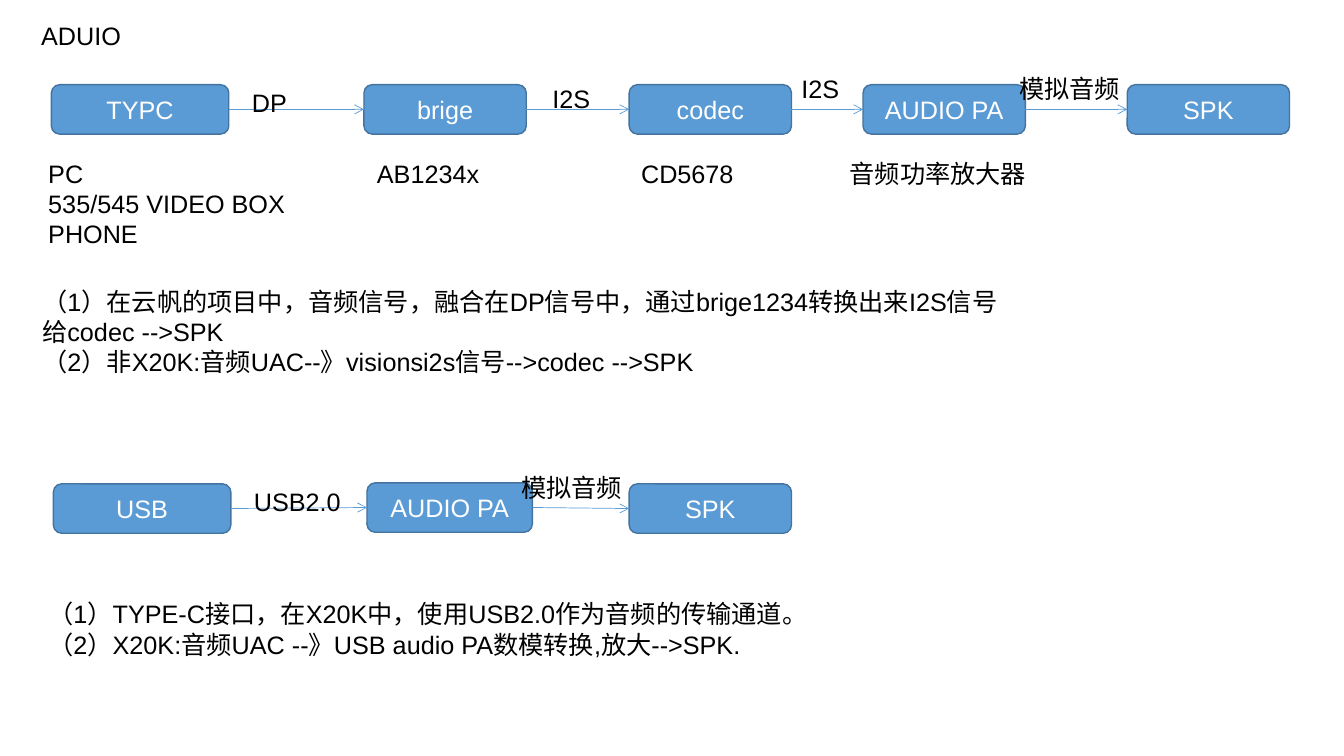
from dataclasses import dataclass

from lxml import etree
from pptx import Presentation
from pptx.dml.color import RGBColor
from pptx.enum.shapes import MSO_CONNECTOR, MSO_SHAPE
from pptx.enum.text import MSO_ANCHOR, PP_ALIGN
from pptx.oxml.ns import qn
from pptx.util import Inches, Pt


@dataclass(frozen=True)
class Theme:
    """Colours, font and sizes of the slide."""
    box_fill: RGBColor = RGBColor(0x5B, 0x9B, 0xD5)
    box_line: RGBColor = RGBColor(0x43, 0x73, 0x9E)
    box_text: RGBColor = RGBColor(0xFF, 0xFF, 0xFF)
    text: RGBColor = RGBColor(0, 0, 0)
    font: str = "Arial"
    size: Pt = Pt(18)
    box_line_width: Pt = Pt(1)
    arrow_width: Pt = Pt(0.5)


class Diagram:
    """Draws flow-chart elements on one slide in one theme."""

    def __init__(self, slide, theme):
        """Keep the slide and the theme."""
        self.shapes = slide.shapes
        self.theme = theme

    def set_lines(self, frame, lines, color, align=PP_ALIGN.LEFT):
        """Fill a text frame with one paragraph per line."""
        frame.word_wrap = True
        for i, line in enumerate(lines):
            paragraph = frame.paragraphs[0] if i == 0 else frame.add_paragraph()
            paragraph.alignment = align
            run = paragraph.add_run()
            run.text = line
            run.font.name = self.theme.font
            run.font.size = self.theme.size
            run.font.color.rgb = color

    def text(self, left, top, width, *lines, height=0.4):
        """Add a plain text box."""
        box = self.shapes.add_textbox(Inches(left), Inches(top), Inches(width), Inches(height))
        self.set_lines(box.text_frame, lines, self.theme.text)

    def box(self, left, top, width, label):
        """Add a rounded box with a centred label."""
        box = self.shapes.add_shape(MSO_SHAPE.ROUNDED_RECTANGLE, Inches(left), Inches(top),
                                    Inches(width), Inches(0.49))
        box.shadow.inherit = False
        box.fill.solid()
        box.fill.fore_color.rgb = self.theme.box_fill
        box.line.color.rgb = self.theme.box_line
        box.line.width = self.theme.box_line_width
        box.text_frame.vertical_anchor = MSO_ANCHOR.MIDDLE
        self.set_lines(box.text_frame, [label], self.theme.box_text, PP_ALIGN.CENTER)
        return box

    def arrow(self, source, target):
        """Join the right side of one box to the left side of the next."""
        arrow = self.shapes.add_connector(MSO_CONNECTOR.STRAIGHT, 0, 0, 0, 0)
        arrow.begin_connect(source, 3)
        arrow.end_connect(target, 1)
        arrow.line.color.rgb = self.theme.box_fill
        arrow.line.width = self.theme.arrow_width
        properties = arrow.element.spPr
        etree.SubElement(properties.find(qn("a:ln")), qn("a:tailEnd"), type="arrow")
        etree.SubElement(properties, qn("a:effectLst"))

    def chain(self, stages):
        """Add a row of boxes joined by arrows."""
        boxes = [self.box(*stage) for stage in stages]
        for source, target in zip(boxes, boxes[1:]):
            self.arrow(source, target)


def build():
    """Lay out the audio path slide."""
    presentation = Presentation()
    presentation.slide_width, presentation.slide_height = Inches(13.33), Inches(7.5)
    slide = presentation.slides.add_slide(presentation.slide_layouts[6])
    diagram = Diagram(slide, Theme())

    diagram.text(0.31, 0.15, 5.18, "ADUIO")

    dp_top, usb_top, note_top = 0.84, 4.8, 1.52
    diagram.chain([
        (0.51, dp_top, 1.76, "TYPC"),
        (3.61, dp_top, 1.61, "brige"),
        (6.24, dp_top, 1.61, "codec"),
        (8.56, dp_top, 1.61, "AUDIO PA"),
        (11.18, dp_top, 1.61, "SPK"),
    ])
    diagram.chain([
        (0.53, usb_top, 1.76, "USB"),
        (3.64, usb_top - 0.01, 1.64, "AUDIO PA"),
        (6.24, usb_top, 1.61, "SPK"),
    ])

    signal_labels = [
        (2.4, 0.82, 0.99, "DP"),
        (5.38, 0.78, 0.71, "I2S"),
        (7.85, 0.68, 0.71, "I2S"),
        (10.01, 0.68, 1.38, "模拟音频"),
        (2.42, 4.78, 1.38, "USB2.0"),
        (5.07, 4.64, 1.38, "模拟音频"),
    ]
    stage_notes = [
        (3.64, note_top, 1.59, "AB1234x"),
        (6.26, note_top, 1.59, "CD5678"),
        (8.33, note_top, 2.07, "音频功率放大器"),
    ]
    for label in signal_labels + stage_notes:
        diagram.text(*label)
    diagram.text(0.38, note_top, 2.99, "PC", "535/545 VIDEO BOX", "PHONE", height=1.31)

    diagram.text(
        0.32, 2.79, 9.85,
        "（1）在云帆的项目中，音频信号，融合在DP信号中，通过brige1234转换出来I2S信号给codec -->SPK",
        "（2）非X20K:音频UAC--》visionsi2s信号-->codec -->SPK",
        height=1.01)
    diagram.text(
        0.38, 5.89, 9.85,
        "（1）TYPE-C接口，在X20K中，使用USB2.0作为音频的传输通道。",
        "（2）X20K:音频UAC --》USB audio PA数模转换,放大-->SPK.",
        height=1.31)
    return presentation


build().save("out.pptx")
